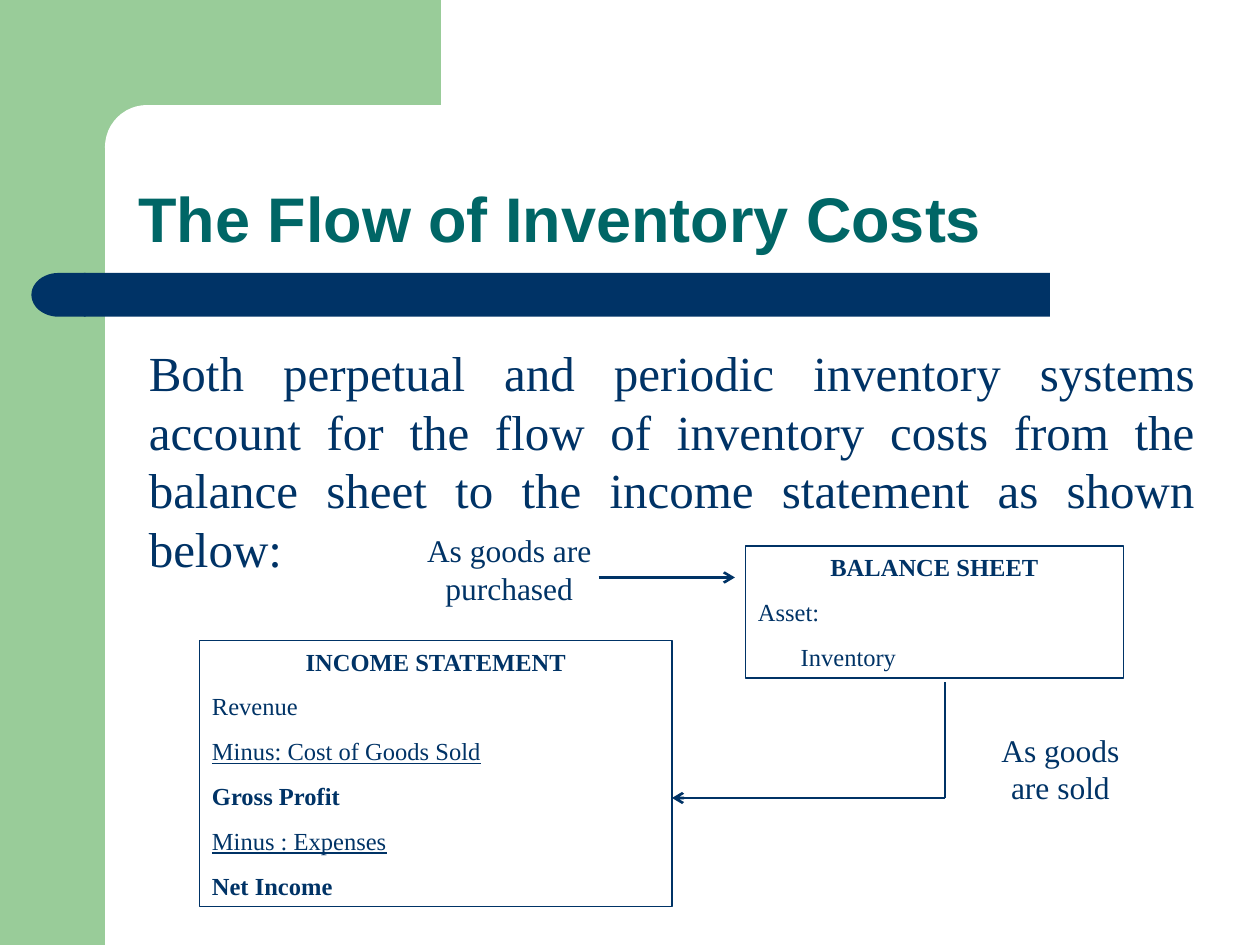
from lxml.etree import SubElement
from pptx import Presentation
from pptx.dml.color import RGBColor
from pptx.enum.shapes import MSO_CONNECTOR as Connector, MSO_SHAPE as Shape
from pptx.enum.text import MSO_ANCHOR as Anchor, PP_ALIGN as Align
from pptx.oxml.ns import qn
from pptx.util import Pt

GREEN, NAVY, TEAL, WHITE = "99CC99", "003366", "006666", "FFFFFF"
SERIF, SANS = "Times New Roman", "Arial"
PARAGRAPH_FORMATS = ("alignment", "space_before", "line_spacing")
HEADING = {"bold": True, "alignment": Align.CENTER}
PLAIN, UNDERLINED, BOLD = {}, {"underline": True}, {"bold": True}


def color(value):
    return RGBColor.from_string(value)


class SlideBuilder:
    def __init__(self, slide, ink, font_name):
        self.slide = slide
        self.ink = ink
        self.font_name = font_name

    def block(self, kind, left, top, width, height, fill, radius=None, flip=False):
        shape = self.slide.shapes.add_shape(kind, Pt(left), Pt(top), Pt(width), Pt(height))
        shape.shadow.inherit = False
        shape.fill.solid()
        shape.fill.fore_color.rgb = color(fill)
        shape.line.fill.background()
        if radius is not None:
            shape.adjustments[0] = radius
        if flip:
            shape._element.spPr.xfrm.set("flipH", "1")

    def add_lines(self, frame, lines, size, gap=0, anchor=Anchor.TOP, **defaults):
        frame.word_wrap = True
        frame.vertical_anchor = anchor
        for index, (text, changes) in enumerate(lines):
            paragraph = frame.paragraphs[0] if index == 0 else frame.add_paragraph()
            values = {"alignment": Align.LEFT, "space_before": Pt(gap if index else 0),
                      "name": self.font_name, "size": Pt(size), "ink": self.ink}
            values.update(defaults)
            values.update(changes)
            run = paragraph.add_run()
            run.text = text
            run.font.color.rgb = color(values.pop("ink"))
            indent = values.pop("indent", 0)
            if indent:
                paragraph._p.get_or_add_pPr().set("marL", str(Pt(indent)))
            for name, value in values.items():
                target = paragraph if name in PARAGRAPH_FORMATS else run.font
                setattr(target, name, value)

    def text(self, left, top, width, height, content, size, **style):
        box = self.slide.shapes.add_textbox(Pt(left), Pt(top), Pt(width), Pt(height))
        self.add_lines(box.text_frame, [(content, {})], size, **style)

    def statement(self, left, top, width, height, lines):
        shape = self.slide.shapes.add_shape(
            Shape.RECTANGLE, Pt(left), Pt(top), Pt(width), Pt(height))
        shape.shadow.inherit = False
        shape.fill.background()
        shape.line.color.rgb = color(self.ink)
        shape.line.width = Pt(0.75)
        self.add_lines(shape.text_frame, lines, 14, gap=8.8)

    def line(self, start, end, width, arrow=False):
        connector = self.slide.shapes.add_connector(
            Connector.STRAIGHT, *(Pt(value) for value in start + end))
        connector.line.color.rgb = color(self.ink)
        connector.line.width = Pt(width)
        if arrow:
            outline = connector._element.spPr.find(qn("a:ln"))
            SubElement(outline, qn("a:tailEnd"), type="arrow")
        SubElement(connector._element.spPr, qn("a:effectLst"))


def main():
    presentation = Presentation()
    presentation.slide_width, presentation.slide_height = Pt(720), Pt(540)
    slide = presentation.slides.add_slide(presentation.slide_layouts[6])
    builder = SlideBuilder(slide, NAVY, SERIF)

    builder.block(Shape.RECTANGLE, 0, 0, 60, 540, GREEN)
    builder.block(Shape.RECTANGLE, 54, 0, 198, 84, GREEN)
    builder.block(Shape.ROUNDED_RECTANGLE, 60, 60, 402, 48, WHITE, radius=0.5)
    builder.block(Shape.RECTANGLE, 48, 156, 552, 25, NAVY)
    builder.block(Shape.FLOWCHART_DELAY, 18, 156, 31, 25, NAVY, flip=True)

    builder.text(72, 60, 630, 90, "The Flow of Inventory Costs", 36, anchor=Anchor.BOTTOM,
                 name=SANS, ink=TEAL, bold=True, line_spacing=0.9)
    builder.text(78, 192, 612, 142,
                 "Both perpetual and periodic inventory systems account for the flow of "
                 "inventory costs from the balance sheet to the income statement as shown below:",
                 28, alignment=Align.JUSTIFY)

    builder.statement(426, 312, 216, 75.5, [
        ("BALANCE SHEET", HEADING),
        ("Asset:", PLAIN),
        ("Inventory", {"indent": 24.5}),
    ])
    builder.statement(114, 366, 270, 152, [
        ("INCOME STATEMENT", HEADING),
        ("Revenue", PLAIN),
        ("Minus: Cost of Goods Sold", UNDERLINED),
        ("Gross Profit", BOLD),
        ("Minus : Expenses", UNDERLINED),
        ("Net Income", BOLD),
    ])

    builder.text(210, 300, 162, 50.5, "As goods are purchased", 18, alignment=Align.CENTER)
    builder.line((342, 330), (420, 330), 1.5, arrow=True)
    builder.line((540, 390), (540, 456), 0.75)
    builder.line((540, 456), (384, 456), 1.5, arrow=True)
    builder.text(552, 414, 108, 50.5, "As goods are sold", 18, alignment=Align.CENTER)

    presentation.save("out.pptx")


if __name__ == "__main__":
    main()
